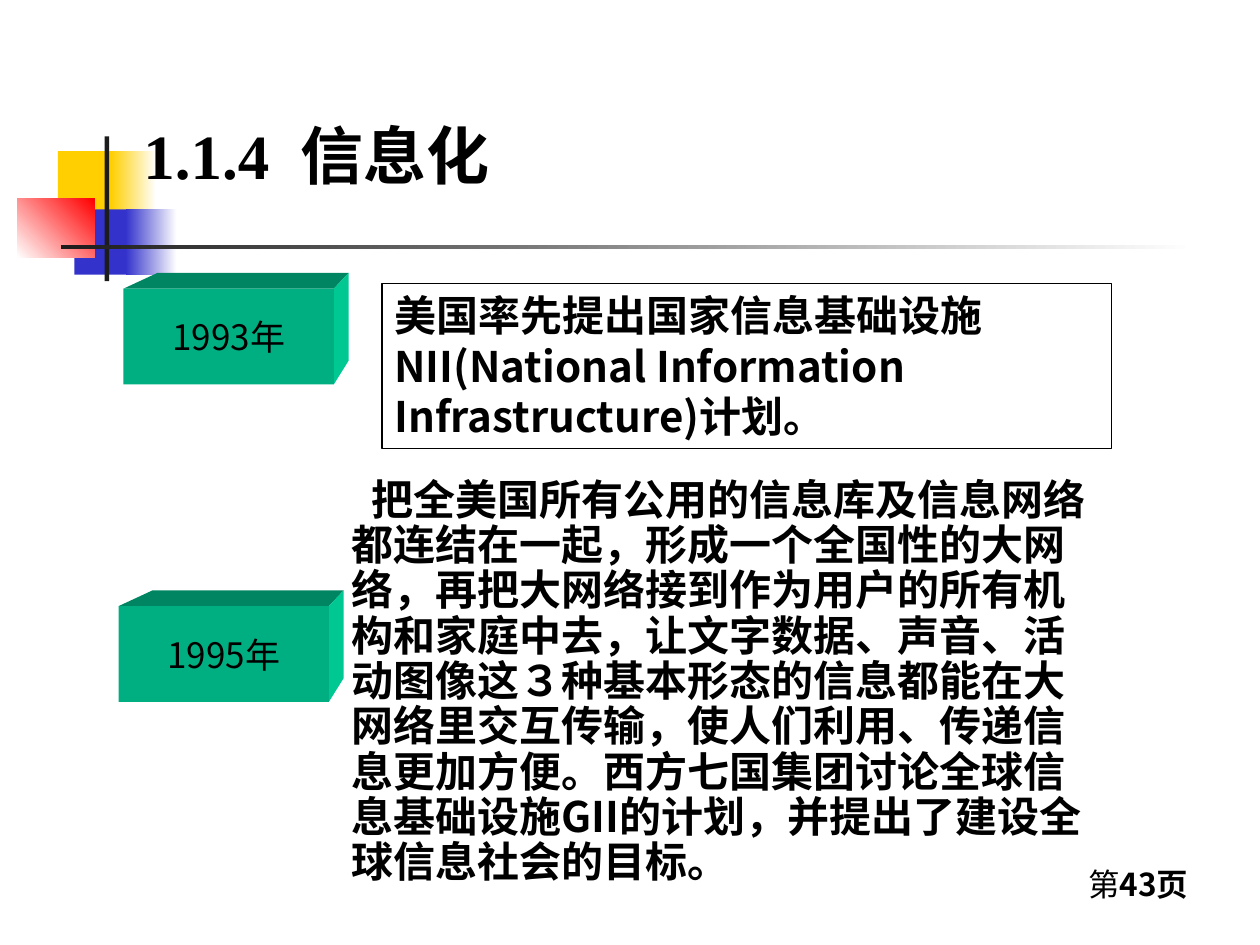
from lxml.etree import SubElement
from pptx import Presentation
from pptx.dml.color import RGBColor
from pptx.enum.shapes import MSO_SHAPE
from pptx.enum.text import MSO_ANCHOR, PP_ALIGN
from pptx.oxml.ns import qn
from pptx.util import Cm, Pt

BLACK = RGBColor(0x00, 0x00, 0x00)
WHITE = RGBColor(0xFF, 0xFF, 0xFF)
GOLD = RGBColor(0xFF, 0xCF, 0x01)
BLUE = RGBColor(0x33, 0x33, 0xCC)
RED = RGBColor(0xFF, 0x00, 0x00)
DARK = RGBColor(0x1C, 0x1C, 0x1C)
FRONT = RGBColor(0x00, 0xAF, 0x81)
ROOF = RGBColor(0x00, 0x85, 0x62)
SIDE = RGBColor(0x00, 0xC8, 0x93)

SANS = "Noto Sans CJK SC"
SERIF = "Times New Roman"


def paint(shape, color):
    shape.shadow.inherit = False
    shape.fill.solid()
    shape.fill.fore_color.rgb = color
    shape.line.fill.background()


def add_rect(slide, place, color):
    rect = slide.shapes.add_shape(MSO_SHAPE.RECTANGLE, *map(Cm, place))
    paint(rect, color)
    return rect


def add_fade(slide, place, start, end, angle=0):
    fill = add_rect(slide, place, start).fill
    fill.gradient()
    fill.gradient_angle = angle
    for stop, color in zip(fill.gradient_stops, (start, end)):
        stop.color.rgb = color


def add_face(slide, points, color):
    spots = [(Cm(x), Cm(y)) for x, y in points]
    form = slide.shapes.build_freeform(*spots[0], scale=1.0)
    form.add_line_segments(spots[1:], close=True)
    paint(form.convert_to_shape(), color)


def add_run(para, text, size, bold=False, face=SANS):
    run = para.add_run()
    run.text = text
    font = run.font
    font.size, font.bold, font.name = Pt(size), bold, face
    font.color.rgb = BLACK
    SubElement(font._element, qn("a:ea"), typeface=SANS)


def add_text(slide, place, runs, anchor=MSO_ANCHOR.TOP):
    box = slide.shapes.add_textbox(*map(Cm, place))
    frame = box.text_frame
    frame.word_wrap = True
    frame.vertical_anchor = anchor
    para = frame.paragraphs[0]
    for run in runs:
        add_run(para, *run)
    return box


def add_block(slide, left, top, label):
    wide, high = 4.24, 1.93
    right, base = left + wide, top + high
    far, back = right + 0.3, top - 0.32
    add_face(slide, [(left, top), (left + 0.69, back), (far, back), (right, top)], ROOF)
    add_face(slide, [(right, top), (far, back), (far, base - 0.48), (right, base)], SIDE)
    frame = add_rect(slide, (left, top, wide, high), FRONT).text_frame
    frame.word_wrap = False
    frame.vertical_anchor = MSO_ANCHOR.MIDDLE
    para = frame.paragraphs[0]
    para.alignment = PP_ALIGN.CENTER
    add_run(para, label, 20)


def add_motif(slide):
    add_rect(slide, (1.17, 3.05, 1.22, 1.32), GOLD)
    add_fade(slide, (2.24, 3.05, 0.91, 1.32), GOLD, WHITE)
    add_rect(slide, (1.5, 4.22, 1.17, 1.32), BLUE)
    add_fade(slide, (2.54, 4.22, 1.02, 1.32), BLUE, WHITE)
    add_fade(slide, (0.35, 4.01, 1.56, 1.18), WHITE, RED, 45)
    add_rect(slide, (2.11, 2.75, 0.09, 2.92), DARK)
    add_fade(slide, (1.23, 4.94, 22.86, 0.09), DARK, WHITE)


def add_body(slide):
    text = (
        "把全美国所有公用的信息库及信息网络都连结在一起，形成一个全国性的大网络，"
        "再把大网络接到作为用户的所有机构和家庭中去，让文字数据、声音、活动图像这３种"
        "基本形态的信息都能在大网络里交互传输，使人们利用、传递信息更加方便。"
        "西方七国集团讨论全球信息基础设施GII的计划，并提出了建设全球信息社会的目标。"
    )
    box = add_text(slide, (5.89, 9.53, 16.48, 7.87), [(text, 24, True)])
    para = box.text_frame.paragraphs[0]
    para.line_spacing = 0.9
    props = para._p.get_or_add_pPr()
    props.set("marL", str(Cm(0.95)))
    props.set("indent", str(Cm(0.4)))


def main():
    deck = Presentation()
    deck.slide_width, deck.slide_height = Cm(25.4), Cm(19.05)
    slide = deck.slides.add_slide(deck.slide_layouts[6])
    add_motif(slide)
    add_text(slide, (21.69, 17.32, 2.74, 1.02), [("第", 18), ("43页", 18, True)])
    add_text(slide, (2.64, 1.88, 21.41, 2.11),
             [("1.1.4  信息化", 36, True, SERIF)], MSO_ANCHOR.BOTTOM)
    add_body(slide)
    add_block(slide, 2.49, 5.82, "1993年")
    add_block(slide, 2.39, 12.22, "1995年")
    plan = "美国率先提出国家信息基础设施NII(National Information Infrastructure)计划。"
    box = add_text(slide, (7.7, 5.72, 14.71, 3.33), [(plan, 24, True)])
    box.line.color.rgb = BLACK
    box.line.width = Pt(0.75)
    deck.save("out.pptx")


if __name__ == "__main__":
    main()
